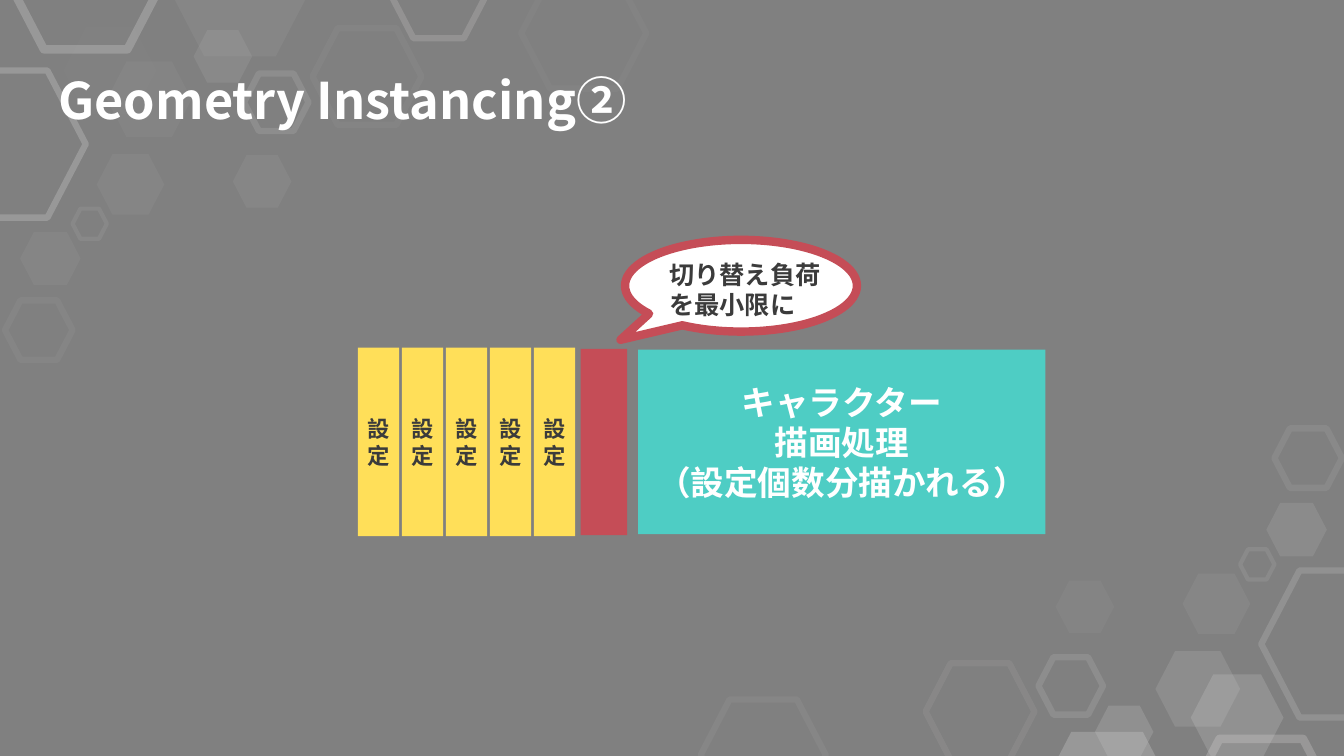
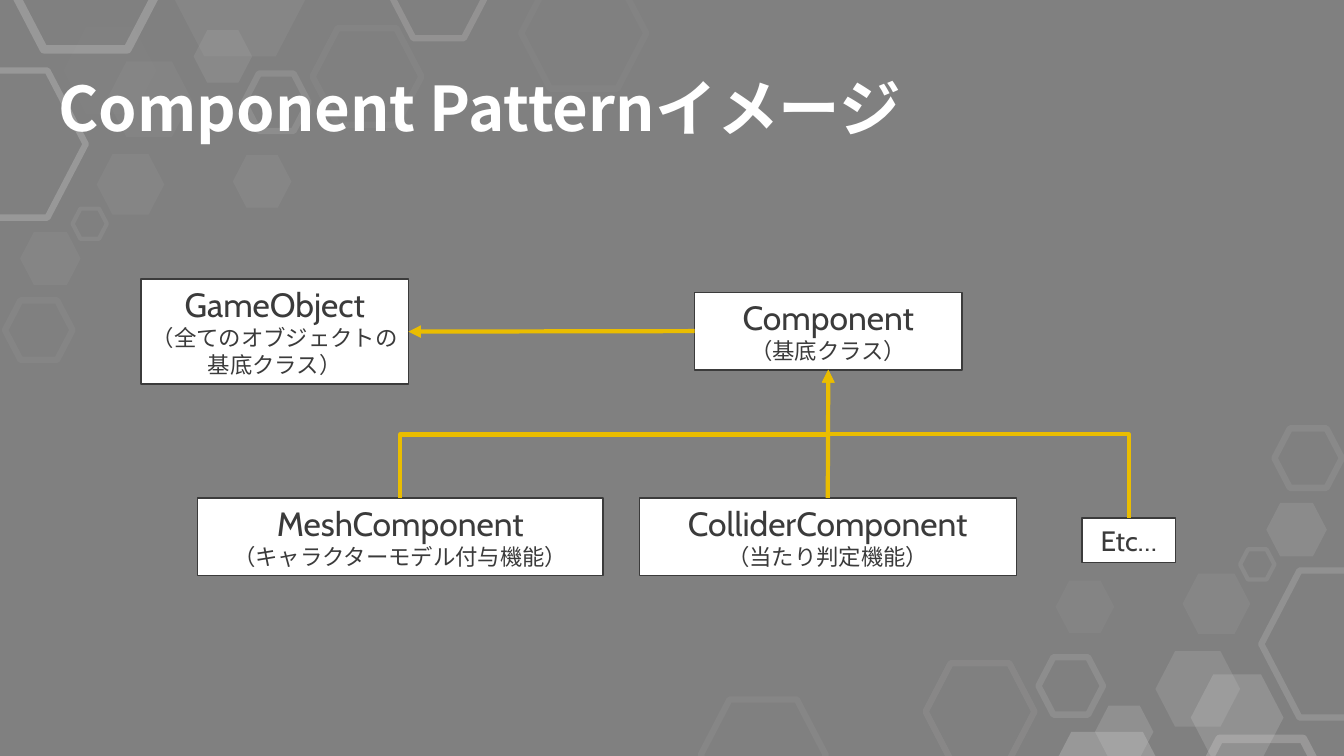
from dataclasses import dataclass

from lxml.etree import SubElement
from pptx import Presentation
from pptx.dml.color import RGBColor
from pptx.enum.shapes import MSO_CONNECTOR, MSO_SHAPE
from pptx.enum.text import MSO_ANCHOR, MSO_AUTO_SIZE, PP_ALIGN
from pptx.oxml.ns import qn
from pptx.util import Inches, Pt


@dataclass(frozen=True)
class Theme:
    background: str = "808080"
    white: str = "FFFFFF"
    ink: str = "3B3B3B"
    setting: str = "FFDF59"
    switch: str = "C54D57"
    drawing: str = "4ECDC4"
    arrow: str = "EABD00"
    gray: str = "D9D9D9"
    warm_gray: str = "D0CECE"
    pale_gray: str = "E7E6E6"
    light_gray: str = "F2F2F2"
    japanese: str = "Noto Sans CJK JP"
    latin: str = "Cabin"
    heading: int = 24
    callout: int = 18
    etc: int = 20
    detail: int = 16


THEME = Theme()

# Sums of opposite edges for hexagons mirrored into the lower right corner
MIRROR_X, MIRROR_Y = 13.36, 7.82

# (left, top, width, height), colour, line width (0 = filled),
# upper opacity, lower opacity (None = not mirrored)
HEXAGONS = [
    ((2.42, 0.73, 0.64, 0.57), THEME.warm_gray, 4.5, 16, 16),
    ((0.05, 2.98, 0.67, 0.59), THEME.gray, 4.5, 5, 10),
    ((3.1, 0.28, 1.08, 0.96), THEME.warm_gray, 4.5, 6, 10),
    ((0.1, -0.8, 1.5, 1.29), THEME.warm_gray, 6, 31, 30),
    ((0.72, 2.07, 0.34, 0.3), THEME.pale_gray, 3, 8, 10),
    ((1.06, 0.61, 0.84, 0.75), THEME.gray, 0, 5, 15),
    ((1.92, 0.3, 0.58, 0.52), THEME.gray, 0, 11, 18),
    ((1.69, -0.73, 1.38, 1.29), THEME.gray, 0, 7, 27),
    ((-0.85, 0.7, 1.7, 1.46), THEME.gray, 4.5, 28, 20),
    ((3.89, -0.43, 0.92, 0.81), THEME.warm_gray, 4.5, 24, None),
    ((0.63, 0.27, 0.92, 0.86), THEME.gray, 0, 2, 20),
    ((2.31, 1.54, 0.58, 0.52), THEME.gray, 0, 8, 5),
    ((0.96, 1.53, 0.67, 0.6), THEME.gray, 0, 6, 8),
    ((5.17, -0.22, 1.24, 1.1), THEME.warm_gray, 4.5, 3, 8),
    ((0.2, 2.3, 0.6, 0.53), THEME.light_gray, 0, 5, 10),
]


def color(value):
    return RGBColor.from_string(value)


# Text
def format_paragraph(paragraph, size, ink, bold, align, latin):
    paragraph.alignment = align
    font = paragraph.font
    font.size, font.bold = Pt(size), bold
    font.color.rgb = color(ink)
    font.name = latin
    properties = paragraph._p.pPr.find(qn("a:defRPr"))
    SubElement(properties, qn("a:ea")).set("typeface", THEME.japanese)


def write(shape, lines, ink, bold=True, align=PP_ALIGN.CENTER,
          latin=THEME.japanese, anchor=MSO_ANCHOR.MIDDLE, wrap=True):
    """Fill a shape with (text, size) lines."""
    frame = shape.text_frame
    frame.word_wrap = wrap
    frame.auto_size = MSO_AUTO_SIZE.NONE
    frame.vertical_anchor = anchor
    for index, (text, size) in enumerate(lines):
        paragraph = frame.add_paragraph() if index else frame.paragraphs[0]
        paragraph.text = text
        format_paragraph(paragraph, size, ink, bold, align, latin)


def add_title(slide, text, size, height):
    title = slide.shapes.title
    title.left, title.top = Inches(0.48), Inches(0.64)
    title.width, title.height = Inches(9.04), Inches(height)
    write(title, [(text, size)], THEME.white, align=PP_ALIGN.LEFT,
          anchor=MSO_ANCHOR.TOP, wrap=False)


# Shapes
def add_shape(slide, kind, box, fill=None, line=None, line_width=1):
    shape = slide.shapes.add_shape(kind, *map(Inches, box))
    shape.shadow.inherit = False
    if fill:
        shape.fill.solid()
        shape.fill.fore_color.rgb = color(fill)
    else:
        shape.fill.background()
    if line:
        shape.line.color.rgb = color(line)
        shape.line.width = Pt(line_width)
    else:
        shape.line.fill.background()
    return shape


def add_class_box(slide, box, lines):
    shape = add_shape(slide, MSO_SHAPE.RECTANGLE, box, THEME.white, THEME.ink)
    write(shape, lines, THEME.ink, bold=False, latin=THEME.latin,
          anchor=MSO_ANCHOR.TOP)
    return shape


# Arrows
def style_arrow(connector):
    connector.line.color.rgb = color(THEME.arrow)
    connector.line.width = Pt(3)
    line = connector.line._get_or_add_ln()
    SubElement(line, qn("a:tailEnd")).set("type", "triangle")
    SubElement(connector.element.spPr, qn("a:effectLst"))


def add_straight_arrow(slide, source, source_site, target, target_site):
    connector = slide.shapes.add_connector(MSO_CONNECTOR.STRAIGHT, 0, 0, 0, 0)
    connector.begin_connect(source, source_site)
    connector.end_connect(target, target_site)
    style_arrow(connector)


def add_rising_arrow(slide, source, target, bus):
    """Go up from source, along the bus height, then up into target."""
    start_x, start_y = source.left + source.width // 2, source.top
    end_x, end_y = target.left + target.width // 2, target.top + target.height
    rise, run = start_y - end_y, abs(end_x - start_x)
    # The elbow is laid out sideways about its centre, then turned upright
    left = (start_x + end_x - rise) // 2
    top = (start_y + end_y - run) // 2
    begin_y, finish_y = (top, top + run) if end_x > start_x else (top + run, top)
    connector = slide.shapes.add_connector(
        MSO_CONNECTOR.ELBOW, left, begin_y, left + rise, finish_y)
    properties = connector.element.spPr
    properties.find(qn("a:xfrm")).set("rot", str(270 * 60000))
    bend = round((start_y - Inches(bus)) / rise * 100000)
    guide = SubElement(properties.find(qn("a:prstGeom")).find(qn("a:avLst")),
                       qn("a:gd"))
    guide.set("name", "adj1")
    guide.set("fmla", f"val {bend}")
    style_arrow(connector)


# Shared background
def add_hexagon(slide, layout, box, tone, line_width, opacity):
    paint = {"line": tone, "line_width": line_width} if line_width else {"fill": tone}
    hexagon = add_shape(slide, MSO_SHAPE.HEXAGON, box, **paint)
    hexagon.adjustments[0] = 0.26
    for node in hexagon.element.iter(qn("a:srgbClr")):
        SubElement(node, qn("a:alpha")).set("val", str(opacity * 1000))
    # Layouts cannot create shapes, so the finished one moves there
    layout.shapes.element.append(hexagon.element)


def decorate_layout(slide, layout):
    layout.background.fill.solid()
    layout.background.fill.fore_color.rgb = color(THEME.background)
    for box, tone, line_width, upper, lower in HEXAGONS:
        add_hexagon(slide, layout, box, tone, line_width, upper)
        if lower is not None:
            left, top, width, height = box
            mirrored = (MIRROR_X - left - width, MIRROR_Y - top - height,
                        width, height)
            add_hexagon(slide, layout, mirrored, tone, line_width, lower)


# Slides
def build_instancing(slide):
    add_title(slide, "Geometry Instancing②", 36, 0.71)

    drawing = add_shape(slide, MSO_SHAPE.RECTANGLE, (6.33, 3.47, 4.04, 1.83),
                        THEME.drawing)
    lines = ["キャラクター", "描画処理", "（設定個数分描かれる）"]
    write(drawing, [(line, THEME.heading) for line in lines], THEME.white)

    for index in range(5):
        setting = add_shape(slide, MSO_SHAPE.RECTANGLE,
                            (3.55 + index * 0.436, 3.45, 0.41, 1.87), THEME.setting)
        write(setting, [("設定", THEME.detail)], THEME.ink)

    add_shape(slide, MSO_SHAPE.RECTANGLE, (5.76, 3.46, 0.46, 1.85), THEME.switch)
    callout = add_shape(slide, MSO_SHAPE.OVAL_CALLOUT, (6.2, 2.38, 2.3, 0.91),
                        THEME.white, THEME.switch, 6)
    callout.adjustments[0], callout.adjustments[1] = -0.52, 0.59
    label = slide.shapes.add_textbox(*map(Inches, (6.54, 2.52, 1.72, 0.71)))
    write(label, [("切り替え負荷", THEME.callout), ("を最小限に", THEME.callout)],
          THEME.ink, align=PP_ALIGN.LEFT, anchor=MSO_ANCHOR.TOP, wrap=False)


def build_component_pattern(slide):
    add_title(slide, "Component Patternイメージ", 44, 0.84)

    classes = [
        ("GameObject", "（全てのオブジェクトの基底クラス）", (1.4, 2.77, 2.65, 1.04)),
        ("Component", "（基底クラス）", (6.89, 2.9, 2.65, 0.77)),
        ("MeshComponent", "（キャラクターモデル付与機能）", (1.96, 4.94, 4.02, 0.77)),
        ("ColliderComponent", "（当たり判定機能）", (6.34, 4.94, 3.74, 0.77)),
    ]
    game_object, component, mesh, collider = [
        add_class_box(slide, box, [(name, THEME.heading), (detail, THEME.detail)])
        for name, detail, box in classes
    ]
    etc = add_class_box(slide, (10.73, 5.14, 0.93, 0.44), [("Etc…", THEME.etc)])

    # Connection sites of a rectangle: 0 top, 1 left, 2 bottom, 3 right
    add_rising_arrow(slide, mesh, component, 4.31)
    add_straight_arrow(slide, collider, 0, component, 2)
    add_straight_arrow(slide, component, 1, game_object, 3)
    add_rising_arrow(slide, etc, component, 4.31)


def main():
    presentation = Presentation()
    presentation.slide_width = Inches(13.33)
    presentation.slide_height = Inches(7.5)
    layout = presentation.slide_layouts[5]
    instancing = presentation.slides.add_slide(layout)
    decorate_layout(instancing, layout)
    build_instancing(instancing)
    build_component_pattern(presentation.slides.add_slide(layout))
    presentation.save("out.pptx")


if __name__ == "__main__":
    main()
